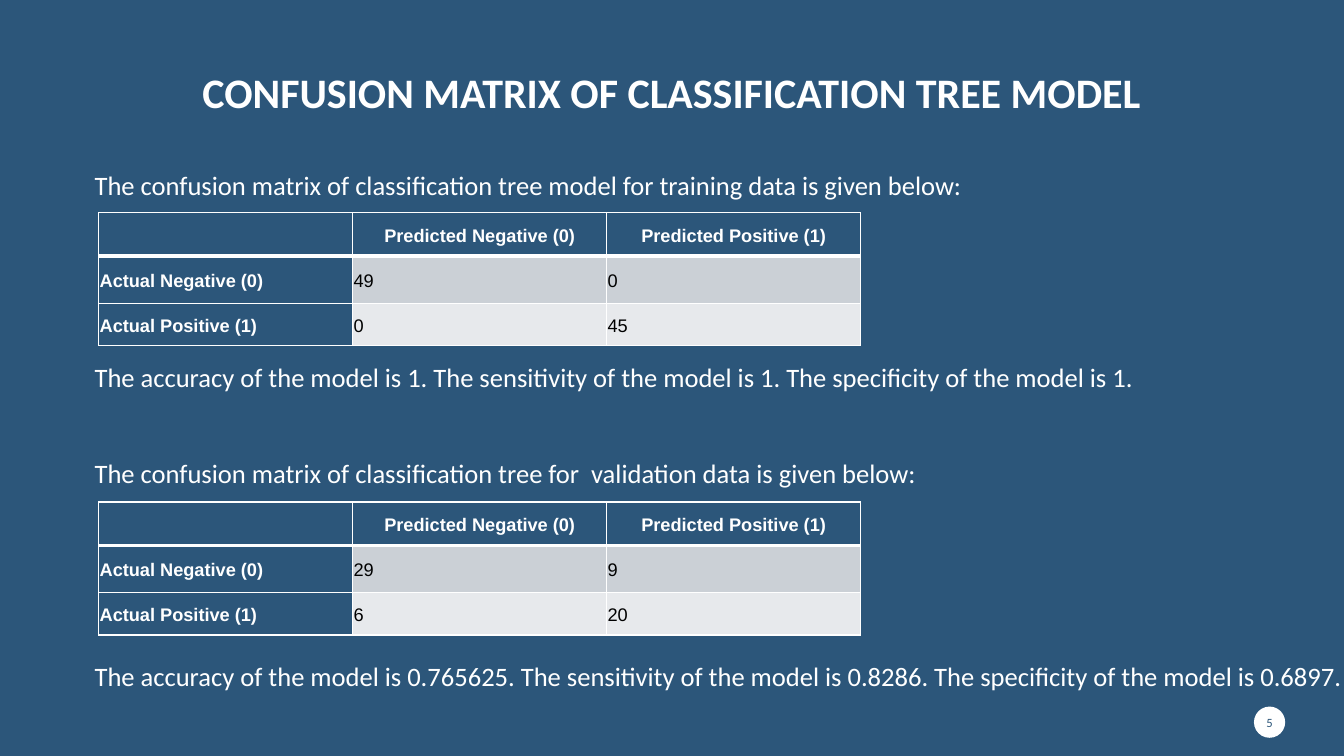
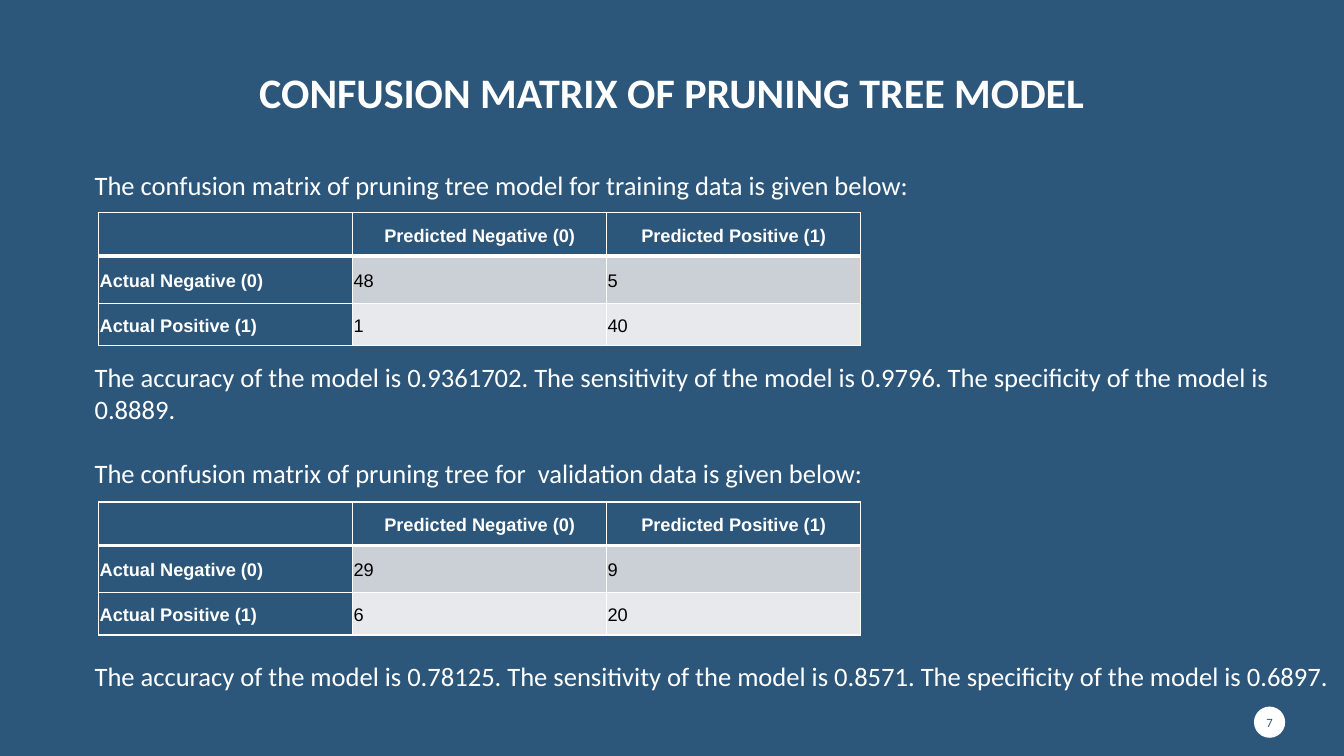
from lxml import etree
from pptx import Presentation
from pptx.dml.color import RGBColor
from pptx.enum.shapes import MSO_SHAPE
from pptx.enum.text import MSO_ANCHOR, MSO_AUTO_SIZE, PP_ALIGN
from pptx.oxml.ns import qn
from pptx.util import Pt

LEFT, CENTER = PP_ALIGN.LEFT, PP_ALIGN.CENTER
TOP, MIDDLE, BOTTOM = MSO_ANCHOR.TOP, MSO_ANCHOR.MIDDLE, MSO_ANCHOR.BOTTOM
FIXED = MSO_AUTO_SIZE.NONE
OVAL = MSO_SHAPE.OVAL

COLORS = {"navy": "2C567A", "white": "FFFFFF", "black": "000000",
          "dark": "CBD0D6", "light": "E7E9EC"}
HEADS = ["", "Predicted Negative (0)", "Predicted Positive (1)"]
SIDES = ["Actual Negative (0)", "Actual Positive (1)"]
ROWS = [31, 33.8, 30.2]
COL = 181.4

SLIDES = [
    {"title": "CONFUSION MATRIX OF CLASSIFICATION TREE MODEL", "page": "5",
     "parts": [
         ("The confusion matrix of classification tree model for training data is given below:",
          [[49, 0], [0, 45]], ("1", "1", "1")),
         ("The confusion matrix of classification tree for  validation data is given below:",
          [[29, 9], [6, 20]], ("0.765625", "0.8286", "0.6897"))]},
    {"title": "CONFUSION MATRIX OF PRUNING TREE MODEL", "page": "7",
     "parts": [
         ("The confusion matrix of pruning tree model for training data is given below:",
          [[48, 5], [1, 40]], ("0.9361702", "0.9796", "0.8889")),
         ("The confusion matrix of pruning tree for  validation data is given below:",
          [[29, 9], [6, 20]], ("0.78125", "0.8571", "0.6897"))]},
]
PLACES = [(117.4, 151.9, 254.2), (322.6, 358.6, 468)]


def tint(name):
    """Return the named colour."""
    return RGBColor.from_string(COLORS[name])


def paint(obj, name):
    """Fill a shape, cell or background with one colour."""
    obj.fill.solid()
    obj.fill.fore_color.rgb = tint(name)


def put(frame, text, size=19, font="Calibri", color="white", bold=False,
        align=LEFT, space=1.0):
    """Write one formatted paragraph into a text frame."""
    para = frame.paragraphs[0]
    para.alignment = align
    para.line_spacing = space
    run = para.add_run()
    run.text = text
    run.font.size = Pt(size)
    run.font.name = font
    run.font.bold = bold
    run.font.color.rgb = tint(color)


def head(slide, text, left, top, width, height):
    """Place the slide title."""
    title = slide.shapes.title
    title.left, title.top = Pt(left), Pt(top)
    title.width, title.height = Pt(width), Pt(height)
    frame = title.text_frame
    frame.auto_size = FIXED
    frame.vertical_anchor = BOTTOM
    put(frame, text, size=30, bold=True, align=CENTER, space=0.9)


def badge(slide, page, left, top, size):
    """Place the page number in its disc."""
    disc = slide.shapes.add_shape(OVAL, Pt(left), Pt(top), Pt(size), Pt(size))
    disc.shadow.inherit = False
    paint(disc, "white")
    disc.line.fill.background()
    frame = disc.text_frame
    frame.margin_left = frame.margin_right = 0
    frame.margin_top = frame.margin_bottom = 0
    frame.word_wrap = False
    frame.vertical_anchor = MIDDLE
    put(frame, page, size=9, color="navy", align=CENTER)


def note(slide, text, left, top, width, height):
    """Place a line of plain text."""
    box = slide.shapes.add_textbox(Pt(left), Pt(top), Pt(width), Pt(height))
    frame = box.text_frame
    frame.word_wrap = True
    frame.vertical_anchor = TOP
    put(frame, text)


def edge(cell, row):
    """Draw white cell borders, heavy under the header row."""
    props = cell._tc.get_or_add_tcPr()
    widths = {"L": 1, "R": 1, "T": 3 if row == 1 else 1, "B": 3 if row == 0 else 1}
    for spot, (side, width) in enumerate(widths.items()):
        line = etree.Element(qn(f"a:ln{side}"), w=str(Pt(width)))
        fill = etree.SubElement(line, qn("a:solidFill"))
        etree.SubElement(fill, qn("a:srgbClr"), val=COLORS["white"])
        props.insert(spot, line)


def matrix(slide, counts, left, top):
    """Place a confusion matrix with header row and label column."""
    data = [HEADS] + [[side, *map(str, row)] for side, row in zip(SIDES, counts)]
    table = slide.shapes.add_table(len(ROWS), len(HEADS), Pt(left), Pt(top),
                                   Pt(COL * len(HEADS)), Pt(sum(ROWS))).table
    for col in table.columns:
        col.width = Pt(COL)
    for r, (high, line) in enumerate(zip(ROWS, data)):
        table.rows[r].height = Pt(high)
        for c, text in enumerate(line):
            cell = table.cell(r, c)
            label = r == 0 or c == 0
            paint(cell, "navy" if label else ("dark", "light")[r - 1])
            cell.margin_left = cell.margin_right = Pt(0.7)
            cell.margin_top = cell.margin_bottom = Pt(0.7)
            cell.vertical_anchor = MIDDLE
            edge(cell, r)
            if text:
                put(cell.text_frame, text, size=13, font="Arial", bold=label,
                    color="white" if label else "black",
                    align=CENTER if r == 0 else LEFT, space=1.15)


def block(slide, part, place, left, width):
    """Place an introduction, its matrix and the resulting scores."""
    intro, counts, (acc, sens, spec) = part
    top, grid, foot = place
    note(slide, intro, left, top, width, 30)
    matrix(slide, counts, left + 10, grid)
    note(slide, f"The accuracy of the model is {acc}. The sensitivity of the model "
         f"is {sens}. The specificity of the model is {spec}.", left, foot, width, 30)


def build(deck, item):
    """Add one slide of two matrices."""
    slide = deck.slides.add_slide(deck.slide_layouts[5])
    head(slide, item["title"], 82, 32.4, 796, 55.4)
    badge(slide, item["page"], 895.7, 504.7, 22.3)
    for part, place in zip(item["parts"], PLACES):
        block(slide, part, place, 60.5, 910)


def main():
    """Build and save the deck."""
    deck = Presentation()
    deck.slide_width, deck.slide_height = Pt(960), Pt(540)
    paint(deck.slide_master.background, "navy")
    for item in SLIDES:
        build(deck, item)
    deck.save("out.pptx")


if __name__ == "__main__":
    main()
